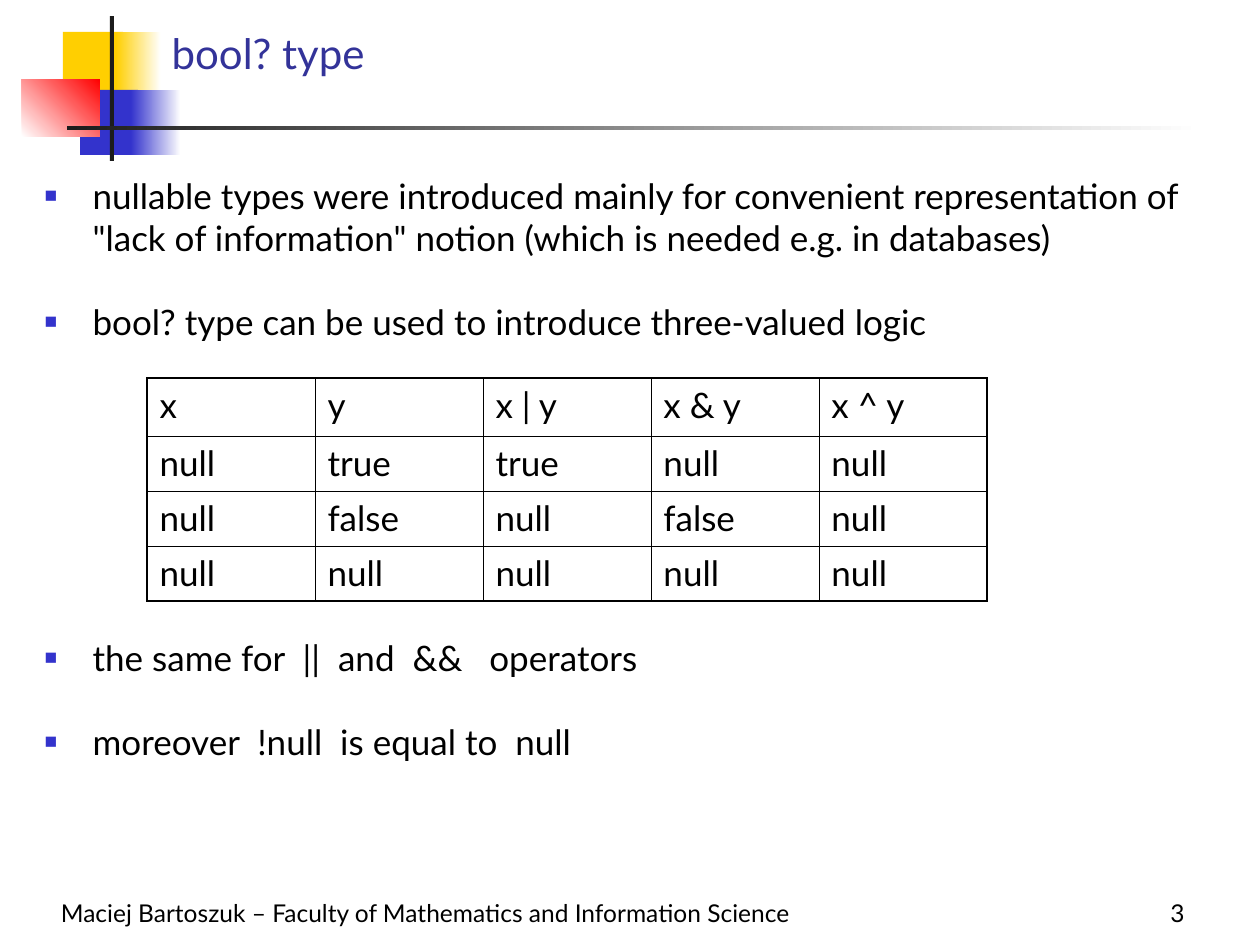
from lxml.etree import SubElement as Sub
from pptx import Presentation
from pptx.dml.color import RGBColor
from pptx.enum.shapes import MSO_SHAPE as Shape
from pptx.enum.text import MSO_ANCHOR as Anchor, MSO_AUTO_SIZE as Auto, PP_ALIGN as Align
from pptx.oxml import parse_xml
from pptx.oxml.ns import nsdecls, qn
from pptx.util import Pt

SCALE = 914400 / 126  # EMU in one px
BLACK, WHITE, DARK = "000000", "FFFFFF", "1C1C1C"
GOLD, BLUE, RED, NAVY = "FFCF01", "3333CC", "FF0000", "333399"


def px(num):
    return round(num * SCALE)


def tint(code):
    return RGBColor.from_string(code)


def write(para, text, font="Lato", size=20, color=BLACK, align=Align.LEFT, gap=0):
    """Put text in a paragraph; gap is the space before it in points."""
    para.alignment = align
    para.space_before, para.space_after = Pt(gap), Pt(0)
    para.line_spacing = 1.0
    run = para.add_run()
    run.text = text
    run.font.name, run.font.size = font, Pt(size)
    run.font.color.rgb = tint(color)


class Deck:
    def __init__(self):
        self.file = Presentation()
        self.file.slide_width, self.file.slide_height = px(1260), px(945)
        self.slide = self.file.slides.add_slide(self.file.slide_layouts[1])
        self.shapes = self.slide.shapes

    def block(self, box, color, fade=None, angle=0):
        """Plain rectangle, or one that fades from color to fade."""
        rect = self.shapes.add_shape(Shape.RECTANGLE, *map(px, box))
        rect.shadow.inherit = False
        rect.line.fill.background()
        if fade is None:
            rect.fill.solid()
            rect.fill.fore_color.rgb = tint(color)
            return
        rect.fill.gradient()
        rect.fill.gradient_angle = angle
        for stop, code, spot in zip(rect.fill.gradient_stops, (color, fade), (0, 1)):
            stop.color.rgb, stop.position = tint(code), spot

    def place(self, holder, box, anchor):
        """Move a placeholder to its box, in front of the blocks."""
        self.shapes._spTree.append(holder._element)
        holder.left, holder.top, holder.width, holder.height = map(px, box)
        frame = holder.text_frame
        frame.word_wrap, frame.auto_size = True, Auto.NONE
        frame.vertical_anchor = anchor
        return frame

    def title(self, box, text):
        frame = self.place(self.shapes.title, box, Anchor.BOTTOM)
        write(frame.paragraphs[0], text, size=24, color=NAVY)

    def list(self, box, items):
        frame = self.place(self.slide.placeholders[1], box, Anchor.TOP)
        for num, (text, gap) in enumerate(items):
            para = frame.add_paragraph() if num else frame.paragraphs[0]
            props = para._p.get_or_add_pPr()
            props.set("marL", str(px(48)))
            props.set("indent", str(px(-48)))
            Sub(Sub(props, qn("a:buClr")), qn("a:srgbClr"), val=BLUE)
            Sub(props, qn("a:buSzPct"), val="60000")
            Sub(props, qn("a:buChar"), char="■")
            write(para, text, gap=gap)

    def label(self, box, text, align):
        frame = self.shapes.add_textbox(*map(px, box)).text_frame
        frame.word_wrap, frame.vertical_anchor = True, Anchor.BOTTOM
        write(frame.paragraphs[0], text, size=14, align=align)

    def table(self, left, top, wide, highs, rows):
        last, end = len(rows) - 1, len(rows[0]) - 1
        box = left, top, wide * (end + 1), sum(highs)
        grid = self.shapes.add_table(last + 1, end + 1, *map(px, box)).table
        grid.first_row = grid.horz_banding = False
        for col in grid.columns:
            col.width = px(wide)
        for r, (row, high) in enumerate(zip(rows, highs)):
            grid.rows[r].height = px(high)
            for c, text in enumerate(row):
                cell = grid.cell(r, c)
                cell.fill.background()
                self.edge(cell, L=c == 0, R=c == end, T=r == 0, B=r == last)
                write(cell.text_frame.paragraphs[0], text)

    def edge(self, cell, **sides):
        """Cell borders: thick on the outer sides, thin inside."""
        props = cell._tc.get_or_add_tcPr()
        for num, (side, outer) in enumerate(sides.items()):
            width = Pt(1.08 if outer else 0.45)
            props.insert(num, parse_xml(
                f'<a:ln{side} {nsdecls("a")} w="{width}"><a:solidFill>'
                f'<a:srgbClr val="{BLACK}"/></a:solidFill></a:ln{side}>'))


def main():
    deck = Deck()

    # Corner blocks and rules
    deck.block((63, 32, 60, 65), GOLD)
    deck.block((116, 32, 45, 65), GOLD, WHITE)
    deck.block((80, 90, 58, 65), BLUE)
    deck.block((131, 90, 50, 65), BLUE, WHITE)
    deck.block((22, 79, 78, 58), WHITE, RED, 45)
    deck.block((110, 16, 4, 145), DARK)
    deck.block((67, 126, 1134, 4), DARK, WHITE)

    # Footer
    deck.label((32, 892, 787, 42),
               "Maciej Bartoszuk – Faculty of Mathematics and Information Science",
               Align.CENTER)
    deck.label((1061, 892, 136, 42), "3", Align.RIGHT)

    # Title and list, with room for the table after the second item
    deck.title((159, 23, 1074, 61), "bool? type")
    deck.list((32, 168, 1202, 703), [
        ("nullable types were introduced mainly for convenient representation of "
         "\"lack of information\" notion (which is needed e.g. in databases)", 0),
        ("bool? type can be used to introduce three-valued logic", 24),
        ("the same for  ||  and  &&   operators", 168),
        ("moreover  !null  is equal to  null", 24),
    ])

    # Truth table
    deck.table(147, 378, 168, (58, 55, 55, 55), [
        ("x", "y", "x | y", "x & y", "x ^ y"),
        ("null", "true", "true", "null", "null"),
        ("null", "false", "null", "false", "null"),
        ("null",) * 5,
    ])

    deck.file.save("out.pptx")


if __name__ == "__main__":
    main()
